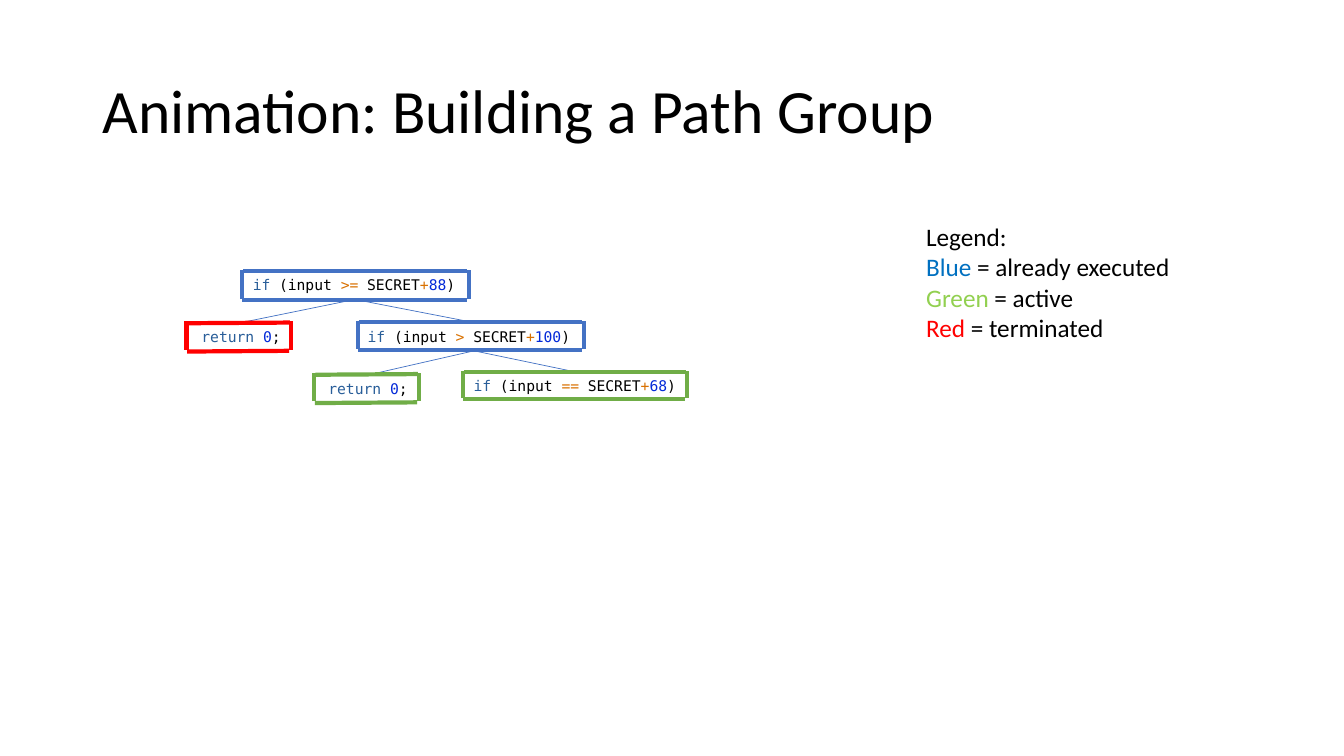
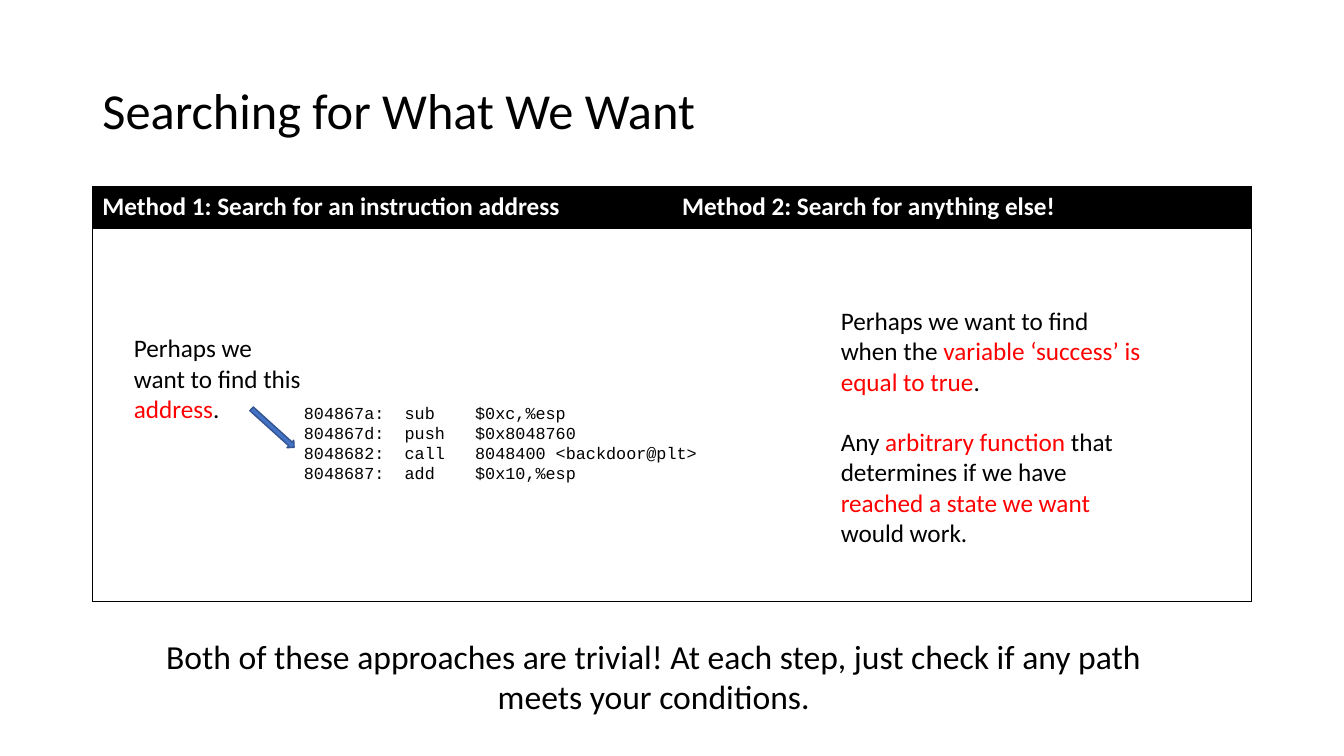
from lxml import etree
from pptx import Presentation
from pptx.dml.color import RGBColor
from pptx.enum.shapes import MSO_CONNECTOR, MSO_SHAPE
from pptx.enum.text import MSO_ANCHOR, MSO_AUTO_SIZE, PP_ALIGN
from pptx.oxml.ns import qn
from pptx.util import Pt

SLIDE_SIZE = 960, 540
TITLE_BOX = 66, 28.75, 828, 104.4
BODY_FONT, TREE_FONT, LISTING_FONT = "Calibri", "DejaVu Sans Mono", "Courier New"
BLACK, WHITE, RED = "000000", "FFFFFF", "FF0000"
EXECUTED, ACTIVE, TERMINATED = "4472C4", "70AD47", RED
KEYWORD, OPERATOR, NUMBER = "295E99", "D97100", "0329D8"


def branch(operator, offset):
    return [("if", KEYWORD), (" (input ", BLACK), (operator, OPERATOR), (" SECRET", BLACK),
            ("+", OPERATOR), (offset, NUMBER), (")", BLACK)]


RETURN = [("return ", KEYWORD), ("0", NUMBER), (";", BLACK)]

# Path tree: name, parent, code, code box (left, top, width),
# state, frame (left, top, right, bottom), tilt of the frame
TREE = [
    ("root", None, branch(">=", "88"), (173.5, 193.7, 160),
     EXECUTED, (172.8, 193.7, 334.8, 214.4), 0),
    ("second", "root", branch(">", "100"), (255.6, 230.4, 166),
     EXECUTED, (255.6, 230.2, 416.9, 249.8), 0),
    ("third", "second", branch("==", "68"), (331.2, 265.7, 160),
     ACTIVE, (330.5, 265.6, 491, 285.1), 0),
    ("root return", "root", RETURN, (136.8, 230.4, 71.3),
     TERMINATED, (133.2, 230.4, 208, 250.6), 0.5),
    ("second return", "second", RETURN, (227.5, 267.8, 71.3),
     ACTIVE, (224.5, 267.2, 299.5, 287.4), 0.5),
]
NODE_HEIGHT = 20.2

LEGEND = [
    [("Legend:", BLACK)],
    [("Blue", "0070C0"), (" = already executed", BLACK)],
    [("Green", "92D050"), (" = active", BLACK)],
    [("Red", RED), (" = terminated", BLACK)],
]

METHODS = ["Method 1: Search for an instruction address", "Method 2: Search for anything else!"]
TABLE_BOX = 66, 133.2, 828, 296.2
ROW_HEIGHTS = 30.2, 266
LISTING = [
    [("804867a:\tsub    $0xc,%esp", BLACK)],
    [("804867d:\tpush   $0x8048760", BLACK)],
    [("8048682:\tcall   8048400 <backdoor@plt>", BLACK)],
    [("8048687:\tadd    $0x10,%esp", BLACK)],
]
ADDRESS_NOTE = [[("Perhaps we want to find this ", BLACK), ("address", RED), (".", BLACK)]]
CONDITION_NOTE = [
    [("Perhaps we want to find when the ", BLACK),
     ("variable ‘success’ is equal to true", RED), (".", BLACK)],
    [("Any ", BLACK), ("arbitrary function ", RED), ("that determines if we have ", BLACK),
     ("reached a state we want ", RED), ("would work.", BLACK)],
]
CONCLUSION = [[("Both of these approaches are trivial! At each step, just check "
                "if any path meets your conditions.", BLACK)]]


def rgb(color):
    return RGBColor.from_string(color)


def points(*lengths):
    return [Pt(length) for length in lengths]


def write(frame, paragraphs, size, font=BODY_FONT, align=PP_ALIGN.LEFT, gap=0, bold=False):
    """Fill a text frame with paragraphs, each a list of (text, colour) runs."""
    for index, runs in enumerate(paragraphs):
        paragraph = frame.add_paragraph() if index else frame.paragraphs[0]
        paragraph.alignment = align
        paragraph.space_before = Pt(gap if index else 0)
        paragraph.font.size, paragraph.font.name, paragraph.font.bold = Pt(size), font, bold
        for text, color in runs:
            run = paragraph.add_run()
            run.text = text
            run.font.color.rgb = rgb(color)


def add_text(slide, box, paragraphs, size, wrap=True, **style):
    text_box = slide.shapes.add_textbox(*points(*box))
    text_box.text_frame.word_wrap = wrap
    write(text_box.text_frame, paragraphs, size, **style)
    return text_box


def add_titled_slide(deck, text, size):
    slide = deck.slides.add_slide(deck.slide_layouts[5])
    title = slide.shapes.title
    title.left, title.top, title.width, title.height = points(*TITLE_BOX)
    frame = title.text_frame
    frame.auto_size = MSO_AUTO_SIZE.NONE
    frame.vertical_anchor = MSO_ANCHOR.MIDDLE
    write(frame, [[(text, BLACK)]], size)
    frame.paragraphs[0].line_spacing = 0.9
    return slide


def add_line(slide, ends, color, width):
    line = slide.shapes.add_connector(MSO_CONNECTOR.STRAIGHT, *points(*ends))
    line.line.color.rgb = rgb(color)
    line.line.width = Pt(width)
    etree.SubElement(line._element.spPr, qn("a:effectLst"))
    return line


def add_edge(slide, parent, child):
    edge = add_line(slide, (0, 0, 0, 0), EXECUTED, 0.5)
    edge.begin_connect(parent, 2)
    edge.end_connect(child, 0)


def add_frame(slide, state, corners, tilt):
    """Draw four loose sides, the upright ones a little higher than the level ones."""
    left, top, right, bottom = corners
    for ends in (
        (right, bottom - 0.8, right, top - 0.8),
        (left + 0.8, top + tilt, right - 1, top),
        (left + 0.4, bottom + tilt, right - 1.5, bottom),
        (left, bottom - 0.8, left, top - 0.8),
    ):
        add_line(slide, ends, state, 3)


def set_borders(cell, black_sides):
    """Draw thin black borders on the sides named (of L, R, T, B) and none on the others."""
    properties = cell._tc.get_or_add_tcPr()
    for side in "LRTB":
        border = etree.SubElement(properties, qn("a:ln" + side), w=str(Pt(0.5)))
        if side in black_sides:
            fill = etree.SubElement(border, qn("a:solidFill"))
            etree.SubElement(fill, qn("a:srgbClr"), val=BLACK)
        else:
            etree.SubElement(border, qn("a:noFill"))


def add_methods_table(slide):
    table = slide.shapes.add_table(2, len(METHODS), *points(*TABLE_BOX)).table
    for row, height in zip(table.rows, ROW_HEIGHTS):
        row.height = Pt(height)
    for column, (method, outer_side) in enumerate(zip(METHODS, "LR")):
        header, body = table.cell(0, column), table.cell(1, column)
        for cell, color in (header, BLACK), (body, WHITE):
            set_borders(cell, outer_side + "TB")
            cell.fill.solid()
            cell.fill.fore_color.rgb = rgb(color)
        write(header.text_frame, [[(method, WHITE)]], 18, bold=True)


def add_address_arrow(slide):
    arrow = slide.shapes.add_shape(MSO_SHAPE.RIGHT_ARROW, *points(174.4, 302.2, 41, 7.2))
    arrow.rotation = 42.1
    arrow.shadow.inherit = False
    arrow.fill.solid()
    arrow.fill.fore_color.rgb = rgb(EXECUTED)
    arrow.line.color.rgb = rgb("325491")
    arrow.line.width = Pt(1)


def build_path_group(deck):
    slide = add_titled_slide(deck, "Animation: Building a Path Group", 44)
    nodes = {}
    for name, _, code, box, *_ in TREE:
        nodes[name] = add_text(slide, (*box, NODE_HEIGHT), [code], 10.5,
                               wrap=False, font=TREE_FONT)
    for name, parent, *_ in TREE:
        if parent:
            add_edge(slide, nodes[parent], nodes[name])
    for *_, state, corners, tilt in TREE:
        add_frame(slide, state, corners, tilt)
    add_text(slide, (654.5, 154.6, 191, 94.3), LEGEND, 18, wrap=False)


def build_search_methods(deck):
    slide = add_titled_slide(deck, "Searching for What We Want", 36)
    add_methods_table(slide)
    add_text(slide, (210, 283.9, 295.2, 65.5), LISTING, 12, font=LISTING_FONT)
    add_address_arrow(slide)
    add_text(slide, (88.5, 234, 137.5, 72.7), ADDRESS_NOTE, 18)
    add_text(slide, (593.5, 214.6, 233.3, 181.4), CONDITION_NOTE, 18, gap=21.6)
    add_text(slide, (107.3, 450.7, 719.3, 65.5), CONCLUSION, 24, align=PP_ALIGN.CENTER)


def main():
    deck = Presentation()
    deck.slide_width, deck.slide_height = points(*SLIDE_SIZE)
    build_path_group(deck)
    build_search_methods(deck)
    deck.save("out.pptx")


if __name__ == "__main__":
    main()
